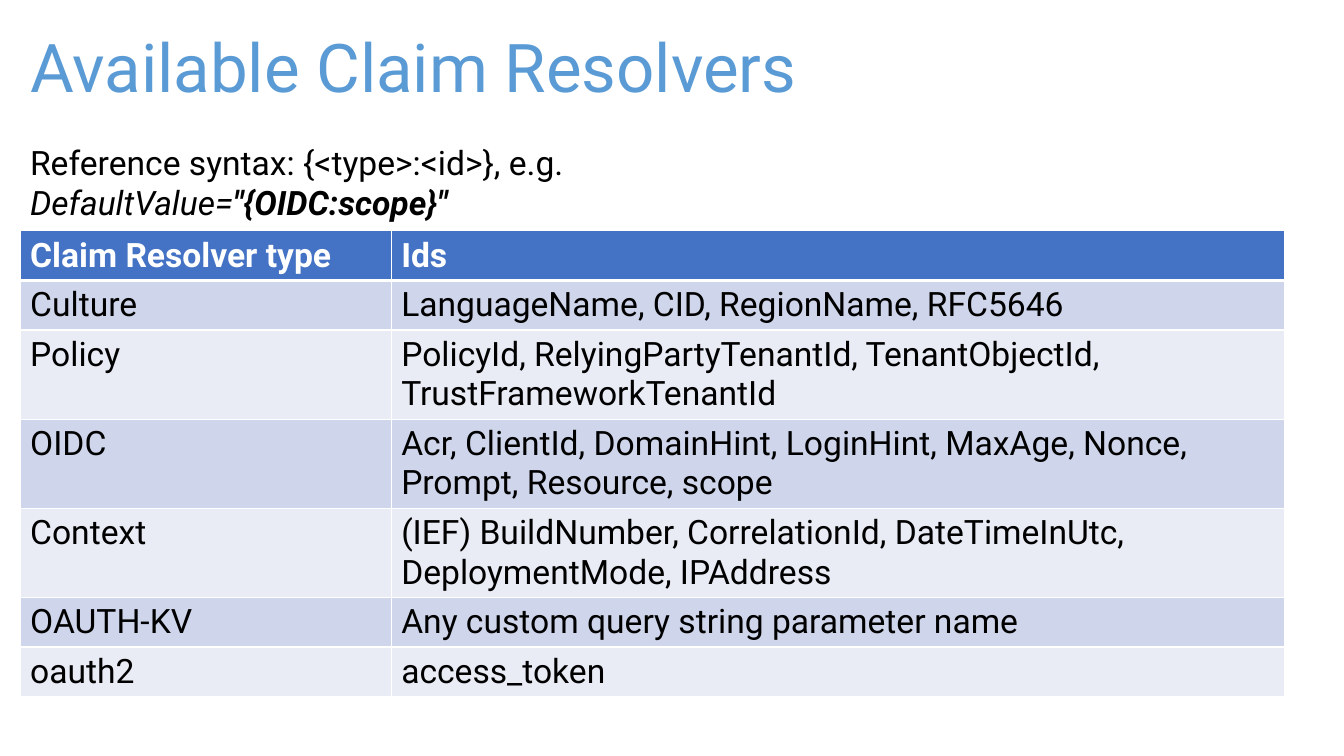
from lxml import etree
from pptx import Presentation
from pptx.dml.color import RGBColor
from pptx.enum.text import MSO_ANCHOR, PP_ALIGN
from pptx.oxml.ns import qn
from pptx.util import Inches, Pt

LEFT = PP_ALIGN.LEFT
MIDDLE = MSO_ANCHOR.MIDDLE
FONT = "Roboto"
COLORS = {
    "title": "5B9BD5",
    "text": "000000",
    "white": "FFFFFF",
    "head": "4472C4",
    "odd": "CFD5EA",
    "even": "E9EBF5",
}
ROWS = [
    ("Claim Resolver type", "Ids"),
    ("Culture", "LanguageName, CID, RegionName, RFC5646"),
    ("Policy", "PolicyId, RelyingPartyTenantId, TenantObjectId, "
               "TrustFrameworkTenantId"),
    ("OIDC", "Acr, ClientId, DomainHint, LoginHint, MaxAge, Nonce, "
             "Prompt, Resource, scope"),
    ("Context", "(IEF) BuildNumber, CorrelationId, DateTimeInUtc, "
                "DeploymentMode, IPAddress"),
    ("OAUTH-KV", "Any custom query string parameter name"),
    ("oauth2", "access_token"),
]


def color(name):
    return RGBColor.from_string(COLORS[name])


class Deck:
    def __init__(self):
        self.prs = Presentation()
        self.prs.slide_width = Inches(13.33)
        self.prs.slide_height = Inches(7.5)
        self.slide = self.prs.slides.add_slide(self.prs.slide_layouts[5])

    def style(self, para, size, name, bold=False):
        para.alignment = LEFT
        font = para.font
        font.name, font.size, font.bold = FONT, Pt(size), bold
        font.color.rgb = color(name)

    def title(self, text, left, top, width, height):
        shape = self.slide.shapes.title
        shape.left, shape.top = Inches(left), Inches(top)
        shape.width, shape.height = Inches(width), Inches(height)
        frame = shape.text_frame
        frame.text = text
        frame.vertical_anchor = MIDDLE
        para = frame.paragraphs[0]
        para.line_spacing = 0.9
        self.style(para, 48, "title")

    def syntax(self, left, top, width, height):
        box = self.slide.shapes.add_textbox(
            Inches(left), Inches(top), Inches(width), Inches(height))
        box.text_frame.word_wrap = False
        para = box.text_frame.paragraphs[0]
        self.style(para, 24, "text")
        para.add_run().text = "Reference syntax: {<type>:<id>}, e.g. "
        para.add_line_break()
        for text, bold in (("DefaultValue=", False), ('"{OIDC:scope}"', True)):
            run = para.add_run()
            run.text = text
            run.font.italic, run.font.bold = True, bold

    def border(self, cell, widths):
        """Draw white lines, widths in points: left, right, top, bottom."""
        props = cell._tc.get_or_add_tcPr()
        for spot, (side, width) in enumerate(zip("LRTB", widths)):
            line = etree.Element(qn(f"a:ln{side}"), w=str(Pt(width)))
            fill = etree.SubElement(line, qn("a:solidFill"))
            etree.SubElement(fill, qn("a:srgbClr"), val=COLORS["white"])
            props.insert(spot, line)

    def table(self, rows, left, top, widths, height):
        table = self.slide.shapes.add_table(
            len(rows), len(widths), Inches(left), Inches(top),
            Inches(sum(widths)), Inches(height * len(rows))).table
        for column, width in zip(table.columns, widths):
            column.width = Inches(width)
        for r, texts in enumerate(rows):
            table.rows[r].height = Inches(height)
            head = r == 0
            band = "head" if head else "odd" if r % 2 else "even"
            for c, text in enumerate(texts):
                cell = table.cell(r, c)
                cell.text = text
                cell.fill.solid()
                cell.fill.fore_color.rgb = color(band)
                self.style(cell.text_frame.paragraphs[0], 24,
                           "white" if head else "text", head)
                self.border(cell, (1, 1, 3 if r == 1 else 1, 3 if head else 1))


def main():
    deck = Deck()
    deck.title("Available Claim Resolvers", 0.2, 0.2, 12.99, 1)
    deck.table(ROWS, 0.2, 2.29, (3.68, 8.86), 0.41)
    deck.syntax(0.2, 1.36, 9.67, 0.9)
    deck.prs.save("out.pptx")


if __name__ == "__main__":
    main()
